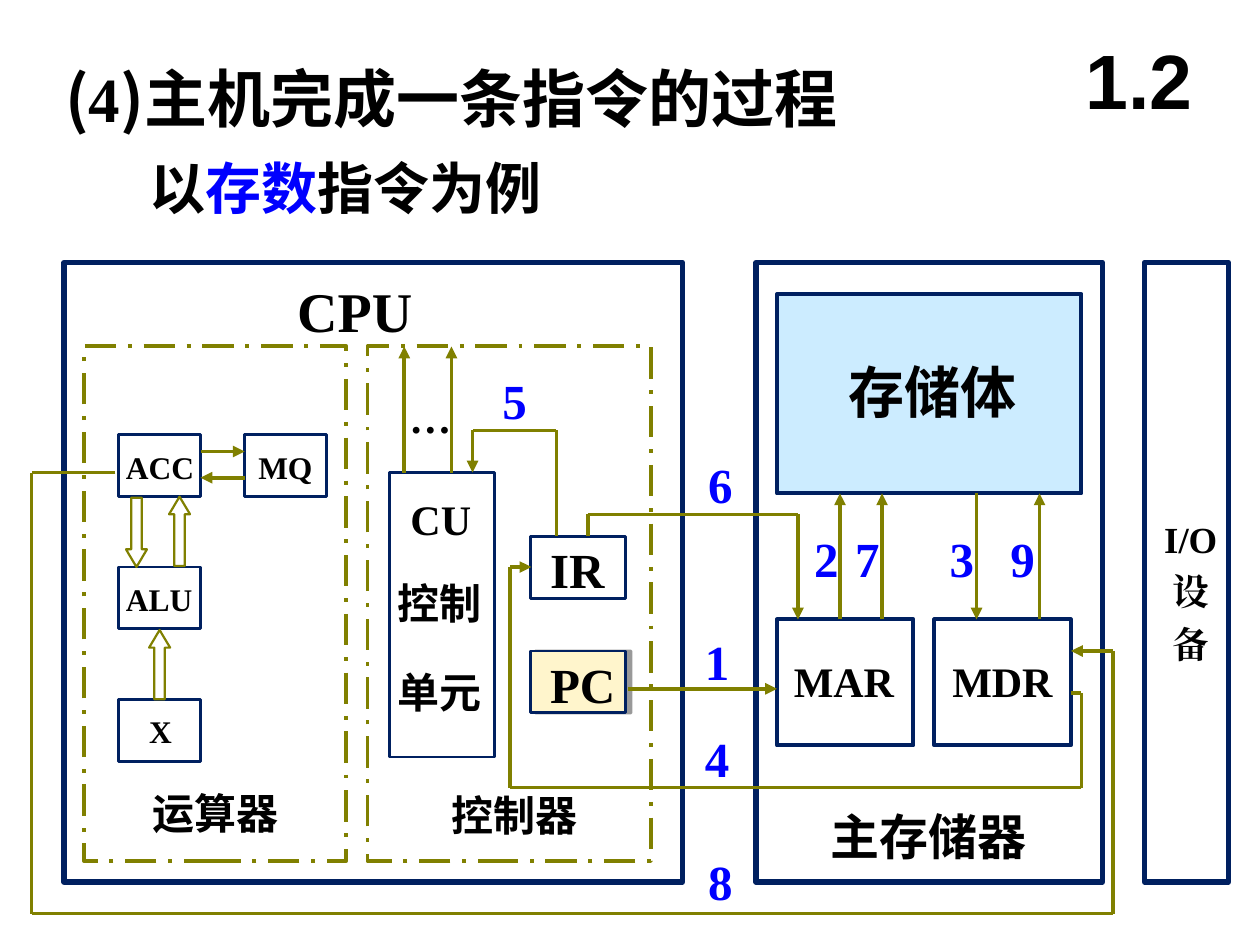
from pptx import Presentation
from pptx.dml.color import RGBColor
from pptx.enum.dml import MSO_LINE
from pptx.enum.shapes import MSO_CONNECTOR, MSO_SHAPE as SHAPE
from pptx.enum.text import MSO_ANCHOR, PP_ALIGN
from pptx.oxml import parse_xml
from pptx.oxml.ns import nsdecls, qn
from pptx.util import Inches, Pt

NAVY = RGBColor(0x00, 0x20, 0x60)
OLIVE = RGBColor(0x80, 0x80, 0x00)
BLUE = RGBColor(0x00, 0x00, 0xFF)
BLACK = RGBColor(0x00, 0x00, 0x00)
SKY = RGBColor(0xCC, 0xEC, 0xFF)
CREAM = RGBColor(0xFF, 0xF5, 0xCC)

TIMES, SANS, ARIAL = "Times New Roman", "Noto Sans CJK SC", "Arial"
COLUMNS, ROWS = 120, 90
SHADOW = (f'<a:effectLst {nsdecls("a")}><a:outerShdw dist="38100" dir="0">'
          '<a:srgbClr val="000000"><a:alpha val="40000"/></a:srgbClr>'
          '</a:outerShdw></a:effectLst>')


def add_run(p, text, size=24, font=TIMES, color=BLACK):
    r = p.add_run()
    r.text = text
    r.font.size, r.font.name, r.font.bold = Pt(size), font, True
    r.font.color.rgb = color
    ea = r.font._element.makeelement(qn("a:ea"), {"typeface": font})
    r.font._element.append(ea)


class Diagram:
    def __init__(self, prs):
        self.s = prs.slides.add_slide(prs.slide_layouts[6])
        self.col = prs.slide_width / COLUMNS
        self.row = prs.slide_height / ROWS

    def place(self, x, y, w, h):
        return (round(x * self.col), round(y * self.row),
                round(w * self.col), round(h * self.row))

    def box(self, x, y, w, h, line=NAVY, width=1.64, fill=None, dash=None,
            shape=SHAPE.RECTANGLE, shadow=False):
        sp = self.s.shapes.add_shape(shape, *self.place(x, y, w, h))
        sp.shadow.inherit = False
        sp.line.color.rgb, sp.line.width = line, Pt(width)
        if dash:
            sp.line.dash_style = dash
        if fill is None:
            sp.fill.background()
        else:
            sp.fill.solid()
            sp.fill.fore_color.rgb = fill
        if shadow:
            props = sp._element.spPr
            props.replace(props.find(qn("a:effectLst")), parse_xml(SHADOW))
        return sp

    def block_arrow(self, x, y, shape):
        sp = self.box(x, y, 2, 6.6, line=OLIVE, width=1.25, shape=shape)
        sp.adjustments[0], sp.adjustments[1] = 0.5, 0.84

    def text(self, x, y, w, h, *lines, align=PP_ALIGN.LEFT, spacing=None,
             **style):
        sp = self.s.shapes.add_textbox(*self.place(x, y, w, h))
        tf = sp.text_frame
        tf.word_wrap = True
        tf.vertical_anchor = MSO_ANCHOR.MIDDLE
        tf.margin_left = tf.margin_right = tf.margin_top = tf.margin_bottom = 0
        for i, line in enumerate(lines):
            p = tf.paragraphs[0] if i == 0 else tf.add_paragraph()
            p.alignment, p.line_spacing = align, spacing
            parts = [(line, {})] if isinstance(line, str) else line
            for part, extra in parts:
                add_run(p, part, **{**style, **extra})

    def step(self, number, x, y):
        self.text(x - 2.35, y - 2.8, 4.7, 5.6, number,
                  align=PP_ALIGN.CENTER, size=28, color=BLUE)

    def route(self, *points):
        for start, end in zip(points, points[1:]):
            begin_end = self.place(*start, *end)
            cx = self.s.shapes.add_connector(MSO_CONNECTOR.STRAIGHT, *begin_end)
            cx.line.color.rgb, cx.line.width = OLIVE, Pt(2.25)
            props = cx._element.spPr
            props.append(parse_xml(f'<a:effectLst {nsdecls("a")}/>'))
            if end == points[-1]:
                props.find(qn("a:ln")).append(
                    parse_xml(f'<a:tailEnd {nsdecls("a")} type="triangle"/>'))


def draw_titles(d):
    d.text(6.2, 5.1, 84.6, 8.4,
           [("(", {}), ("4", {"font": TIMES}), (")主机完成一条指令的过程", {})],
           size=36, font=SANS)
    d.text(14.2, 14, 60, 7.7,
           [("以", {}), ("存数", {"color": BLUE}), ("指令为例", {})],
           size=32, font=SANS)
    d.text(101, 2, 15, 11, "1.2", align=PP_ALIGN.CENTER, size=44, font=ARIAL)


def draw_units(d):
    for x, w in ((6.1, 58.9), (72, 33), (109, 8)):
        d.box(x, 25, w, 59, width=3)
    for x, w in ((8, 25), (35, 27)):
        d.box(x, 33, w, 49, line=OLIVE, width=2.25,
              dash=MSO_LINE.LONG_DASH_DOT)
    for x, y in ((11.3, 41.4), (23.3, 41.4), (11.3, 54), (11.3, 66.6)):
        d.box(x, y, 7.8, 5.9)
    d.box(37.1, 45, 10, 27.1)
    d.box(50.5, 51.1, 9.1, 5.9)
    d.box(50.5, 62, 9.1, 5.9, fill=CREAM, shadow=True)
    d.box(74, 28, 29, 19, width=2.25, fill=SKY)
    for x in (74, 89):
        d.box(x, 59, 13, 12, width=2.25)
    d.block_arrow(12, 47.4, SHAPE.DOWN_ARROW)
    d.block_arrow(16.1, 47.3, SHAPE.UP_ARROW)
    d.block_arrow(14.2, 60, SHAPE.UP_ARROW)


def draw_labels(d):
    d.text(27.8, 26.3, 12, 6.4, "CPU", align=PP_ALIGN.CENTER, size=32)
    d.text(79.6, 33.4, 18.4, 7.7, "存储体", align=PP_ALIGN.CENTER,
           size=32, font=SANS)
    d.text(110.1, 48.7, 6.6, 14.4, "I/O", "设", "备",
           align=PP_ALIGN.CENTER, spacing=Pt(30), size=21)
    for text, x, y in (("ACC", 12, 42.7), ("MQ", 24.6, 42.7),
                       ("ALU", 12, 55.2), ("X", 14.2, 67.8)):
        d.text(x, y, 8.4, 3.6, text, size=18)
    for text, x, y in (("CU", 39.1, 47), ("…", 39, 37.3),
                       ("MAR", 75.6, 62.4), ("MDR", 90.7, 62.4)):
        d.text(x, y, 12, 4.8, text)
    for text, x, y in (("控制", 37.9, 55), ("单元", 37.9, 63.5),
                       ("运算器", 14.5, 75), ("控制器", 43, 75.2)):
        d.text(x, y, 16, 4.8, text, font=SANS)
    for text, y in (("IR", 51.4), ("PC", 62.3)):
        d.text(52.4, y, 13, 5.6, text, size=28)
    d.text(79.1, 76.8, 22.2, 5.6, "主存储器", size=28, font=SANS)


def draw_flow(d):
    d.route((59.8, 65.6), (74, 65.6))
    for x in (80, 84, 99):
        d.route((x, 59), (x, 47))
    d.route((93, 47), (93, 59))
    d.route((102, 66), (103, 66), (103, 75), (48.6, 75), (48.6, 54), (50.6, 54))
    d.route((53, 51), (53, 41), (45, 41), (45, 45))
    d.route((56, 51), (56, 49), (76, 49), (76, 59))
    d.route((11, 45), (3, 45), (3, 87), (106, 87), (106, 62), (102, 62))
    for x in (38.5, 43):
        d.route((x, 45), (x, 33))
    d.route((19.1, 43), (23.3, 43))
    d.route((23.3, 45.5), (19.1, 45.5))
    for number, x, y in (("1", 68.3, 62.9), ("2", 78.7, 53.1), ("3", 91.6, 53.1),
                         ("4", 68.3, 72.2), ("5", 49, 38.1), ("6", 68.6, 46.1),
                         ("7", 82.6, 53.1), ("8", 68.6, 83.9), ("9", 97.4, 53.1)):
        d.step(number, x, y)


def main():
    prs = Presentation()
    prs.slide_width, prs.slide_height = Inches(10), Inches(7.5)
    d = Diagram(prs)
    for draw in (draw_titles, draw_units, draw_labels, draw_flow):
        draw(d)
    prs.save("out.pptx")


if __name__ == "__main__":
    main()
